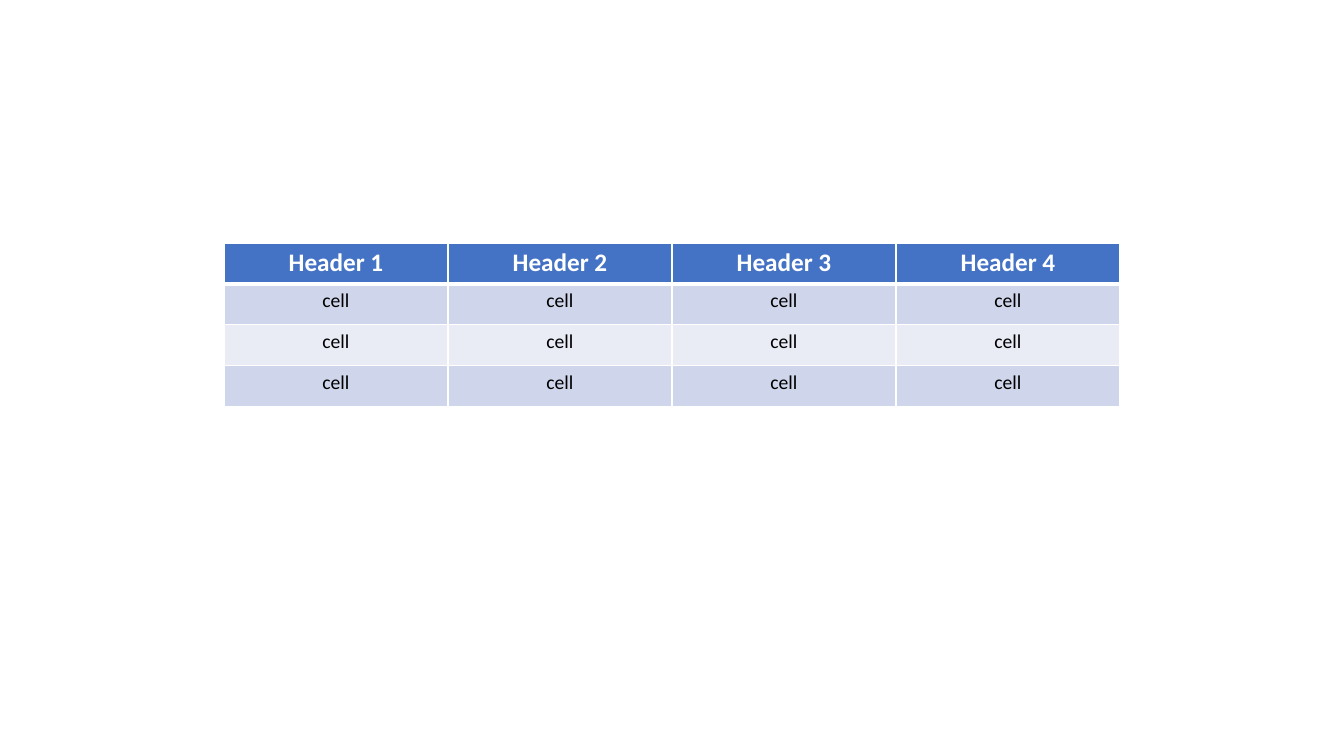
from lxml import etree
from pptx import Presentation
from pptx import util as u
from pptx.dml.color import RGBColor
from pptx.enum import text
from pptx.oxml import ns

SLIDE_WIDTH, SLIDE_HEIGHT = u.Inches(13.33), u.Inches(7.5)
COLUMNS, BODY_ROWS = 4, 3
COLUMN_WIDTH = SLIDE_WIDTH // 6
ROW_HEIGHT = u.Inches(0.405)
TABLE_TOP = u.Inches(2.41)
HEADER_FILL, BAND_FILLS = "4472C4", ("CFD5EA", "E9EBF5")
WHITE, BLACK = "FFFFFF", "000000"


def paint(fill, color):
    fill.solid()
    fill.fore_color.rgb = RGBColor.from_string(color)


def add_borders(cell, top, bottom):
    """Draw white cell edges; top and bottom are widths in points."""
    properties = cell._tc.get_or_add_tcPr()
    for side, width in (("L", 1), ("R", 1), ("T", top), ("B", bottom)):
        line = etree.SubElement(properties, ns.qn(f"a:ln{side}"), w=str(u.Pt(width)))
        solid = etree.SubElement(line, ns.qn("a:solidFill"))
        etree.SubElement(solid, ns.qn("a:srgbClr"), val=WHITE)


def write_cell(cell, words, size, color, bold):
    para = cell.text_frame.paragraphs[0]
    para.alignment = text.PP_ALIGN.CENTER
    span = para.add_run()
    span.text = words
    span.font.name = "Calibri"
    span.font.size = u.Pt(size)
    span.font.bold = bold
    paint(span.font.fill, color)


def add_banded_table(page, rows):
    width, height = COLUMN_WIDTH * COLUMNS, ROW_HEIGHT * len(rows)
    left = (SLIDE_WIDTH - width) // 2
    table = page.shapes.add_table(
        len(rows), COLUMNS, left, TABLE_TOP, width, height).table
    for row_index, row in enumerate(rows):
        is_header = row_index == 0
        for column_index, words in enumerate(row):
            cell = table.cell(row_index, column_index)
            add_borders(cell, top=3 if row_index == 1 else 1,
                        bottom=3 if is_header else 1)
            if is_header:
                paint(cell.fill, HEADER_FILL)
                write_cell(cell, words, 18, WHITE, True)
            else:
                paint(cell.fill, BAND_FILLS[(row_index - 1) % 2])
                write_cell(cell, words, 14, BLACK, False)


def main():
    deck = Presentation()
    deck.slide_width, deck.slide_height = SLIDE_WIDTH, SLIDE_HEIGHT
    page = deck.slides.add_slide(deck.slide_layouts[6])
    headers = [f"Header {number}" for number in range(1, COLUMNS + 1)]
    add_banded_table(page, [headers] + [["cell"] * COLUMNS] * BODY_ROWS)
    deck.save("out.pptx")


if __name__ == "__main__":
    main()
